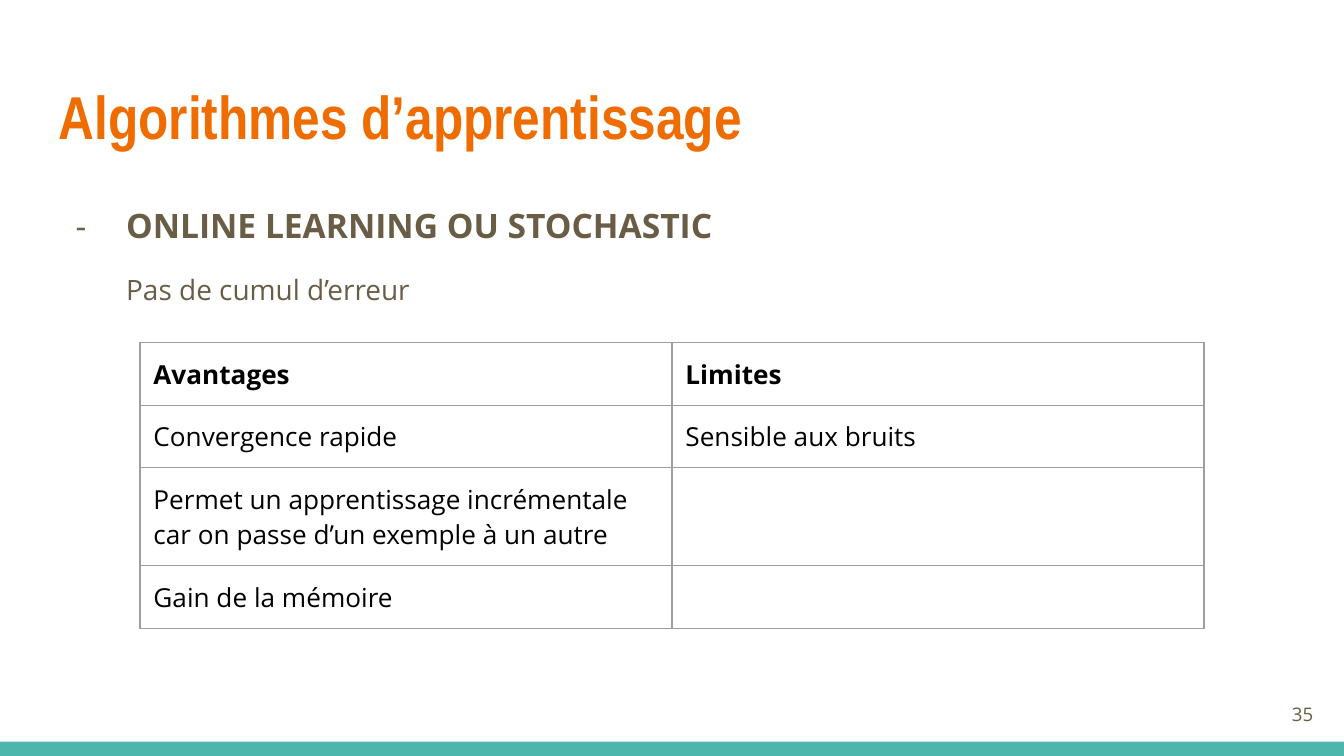
from dataclasses import dataclass

from lxml.etree import SubElement
from pptx import Presentation
from pptx.dml.color import RGBColor
from pptx.enum.shapes import MSO_SHAPE
from pptx.enum.text import MSO_ANCHOR, PP_ALIGN
from pptx.oxml.ns import qn
from pptx.util import Pt

INSET = 7.2
BODY_FONT = "Open Sans"
ORANGE, BROWN, TEAL, BLACK, GREY = "EF6C00", "695D46", "4DB6AC", "000000", "9E9E9E"


@dataclass
class Box:
    """A rectangle in points."""
    left: float
    top: float
    width: float
    height: float

    def emu(self) -> tuple:
        """Return the four lengths for python-pptx."""
        return Pt(self.left), Pt(self.top), Pt(self.width), Pt(self.height)


def rgb(value: str) -> RGBColor:
    """Turn a hex string into a colour."""
    return RGBColor.from_string(value)


def add_frame(s, box: Box, anchor=MSO_ANCHOR.TOP):
    """Add a wrapping text box and return its text frame."""
    tf = s.shapes.add_textbox(*box.emu()).text_frame
    tf.word_wrap = True
    tf.vertical_anchor = anchor
    tf.margin_left = tf.margin_right = tf.margin_top = tf.margin_bottom = Pt(INSET)
    return tf


def write(p, text: str, *, size: float, color: str = BROWN, font: str = BODY_FONT,
          bold: bool = False, align=PP_ALIGN.LEFT, spacing: float = 1.0, gap: float = 0):
    """Write one formatted run into a paragraph."""
    p.alignment, p.line_spacing = align, spacing
    p.space_before = p.space_after = Pt(gap)
    r = p.add_run()
    r.text = text
    r.font.name, r.font.size, r.font.bold = font, Pt(size), bold
    r.font.color.rgb = rgb(color)


def indent(p, left: float, hanging: float = 0, bullet: str = ""):
    """Indent a paragraph, with an optional hanging bullet."""
    pPr = p._p.get_or_add_pPr()
    pPr.set("marL", str(Pt(left)))
    pPr.set("indent", str(Pt(-hanging)))
    if bullet:
        color = SubElement(pPr, qn("a:buClr"))
        SubElement(color, qn("a:srgbClr"), val=BROWN)
        SubElement(pPr, qn("a:buFont"), typeface=BODY_FONT)
        SubElement(pPr, qn("a:buChar"), char=bullet)


def set_borders(cell, color: str, width: float):
    """Draw a solid line on each side of a cell."""
    tcPr = cell._tc.get_or_add_tcPr()
    for i, side in enumerate(("lnL", "lnR", "lnT", "lnB")):
        ln = tcPr.makeelement(qn(f"a:{side}"), {"w": str(Pt(width))})
        fill = SubElement(ln, qn("a:solidFill"))
        SubElement(fill, qn("a:srgbClr"), val=color)
        tcPr.insert(i, ln)


def add_grid(s, box: Box, rows: list[tuple[str, str]], heights: list[float]):
    """Add a plain ruled table with a bold first row."""
    table = s.shapes.add_table(len(rows), len(rows[0]), *box.emu()).table
    table.first_row = table.horz_banding = False
    for column in table.columns:
        column.width = Pt(box.width / len(rows[0]))
    for i, (texts, height) in enumerate(zip(rows, heights)):
        table.rows[i].height = Pt(height)
        for j, text in enumerate(texts):
            cell = table.cell(i, j)
            cell.fill.background()
            cell.margin_left = cell.margin_right = Pt(INSET)
            cell.margin_top = cell.margin_bottom = Pt(INSET)
            set_borders(cell, GREY, 0.75)
            p = cell.text_frame.paragraphs[0]
            if text:
                write(p, text, size=14, color=BLACK, bold=i == 0)
            else:
                p._p.get_or_add_endParaRPr().set("sz", "1400")


def main():
    """Build the slide and save it."""
    prs = Presentation()
    prs.slide_width, prs.slide_height = Pt(720), Pt(405)
    s = prs.slides.add_slide(prs.slide_layouts[6])
    s.background.fill.solid()
    s.background.fill.fore_color.rgb = rgb("FFFFFF")

    sp = s.shapes.add_shape(MSO_SHAPE.RECTANGLE, *Box(0, 397.3, 720, 7.7).emu())
    sp.shadow.inherit = False
    sp.fill.solid()
    sp.fill.fore_color.rgb = rgb(TEAL)
    sp.line.fill.background()

    tf = add_frame(s, Box(24.5, 35.3, 671, 55.4))
    write(tf.paragraphs[0], "Algorithmes d’apprentissage", size=32.4, color=ORANGE,
          font="Arial Narrow", bold=True)

    tf = add_frame(s, Box(24.5, 99.4, 671, 260))
    p = tf.paragraphs[0]
    write(p, "ONLINE LEARNING OU STOCHASTIC", size=18, bold=True, spacing=1.15)
    indent(p, 36, hanging=27, bullet="-")
    p = tf.add_paragraph()
    write(p, "Pas de cumul d’erreur", size=15, spacing=1.15, gap=12)
    indent(p, 36)

    tf = add_frame(s, Box(667.4, 367.2, 43.2, 31), MSO_ANCHOR.MIDDLE)
    write(tf.paragraphs[0], "35", size=10, align=PP_ALIGN.RIGHT)

    rows = [
        ("Avantages", "Limites"),
        ("Convergence rapide", "Sensible aux bruits"),
        ("Permet un apprentissage incrémentale car on passe d’un exemple à un autre", ""),
        ("Gain de la mémoire", ""),
    ]
    heights = [33.5, 33.5, 52.5, 33.5]
    add_grid(s, Box(75, 183.6, 570, sum(heights)), rows, heights)
    prs.save("out.pptx")


if __name__ == "__main__":
    main()
